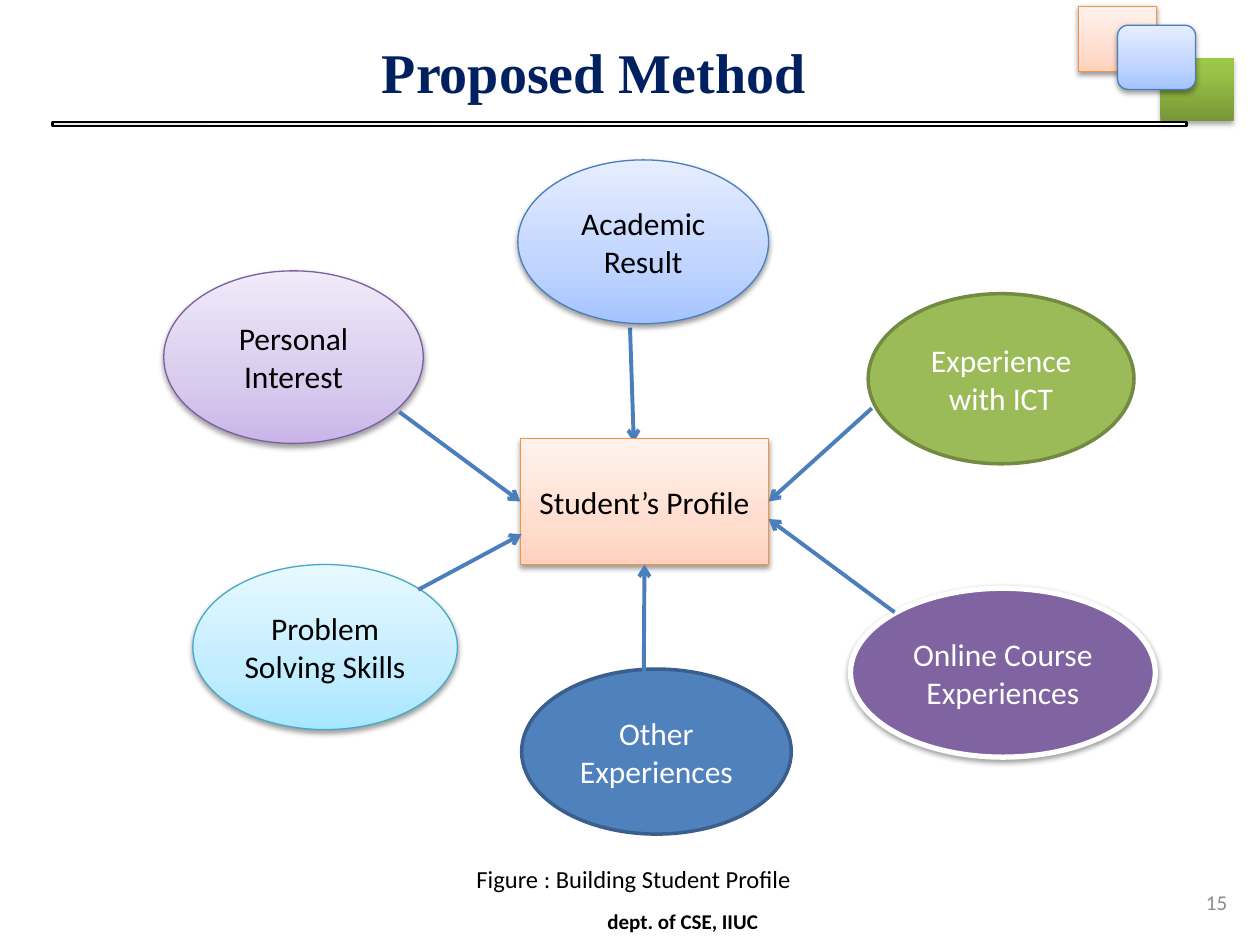
"""Build the Proposed Method slide with its student profile diagram."""
import lxml.etree
import pptx
import pptx.dml.color
import pptx.enum.shapes
import pptx.enum.text
import pptx.oxml.ns
import pptx.util

Pt = pptx.util.Pt
SHAPE = pptx.enum.shapes.MSO_SHAPE
ALIGN = pptx.enum.text.PP_ALIGN
ANCHOR = pptx.enum.text.MSO_ANCHOR

BLUE = [(0, "A4C4FF"), (35, "BFD4FF"), (100, "E6EEFF")]
ORANGE = [(0, "FFD2BD"), (35, "FFDED0"), (100, "FFF2ED")]
VIOLET = [(0, "C9B5E8"), (35, "D8CBEE"), (100, "F0EAF9")]
AQUA = [(0, "A7E6FF"), (35, "C1EDFF"), (100, "E7F8FF")]
GREEN = [(0, "779737"), (80, "9BC348"), (100, "9DC746")]
RULE = [(0, "EEECE1"), (100, "FFFFFF")]
SOFT = (3.1, 1.6, 38)
CORNER_SHADOW = (3.1, 1.8, 35)

TOPICS = [
    ("Personal Interest", (93.6, 154.8, 148.3, 98.6), VIOLET, "7D60A0", 0.75, SOFT, "000000"),
    ("Academic Result", (295.9, 91.4, 143.3, 93.6), BLUE, "4B7EBC", 0.75, SOFT, "000000"),
    ("Experience with ICT", (496.1, 167.8, 151.9, 97.2), "9BBB59", "738A42", 2, None, "FFFFFF"),
    ("Problem Solving Skills", (110.2, 322.6, 151.2, 94.3), AQUA, "46AAC5", 0.75, SOFT, "000000"),
    ("Other Experiences", (298.1, 382.3, 154.1, 94.3), "4F81BD", "3A5F8C", 2, None, "FFFFFF"),
    ("Online Course Experiences", (486, 336.2, 174.2, 96.5), "8064A2", "FFFFFF", 3, SOFT, "FFFFFF"),
]

ARROWS = [
    ((367.9, 383.8), (368.3, 322.6), 2),
    ((511.2, 349.9), (439.2, 296.6), None),
    ((228.2, 235.4), (297.4, 286.6), 1),
    ((498.2, 233.3), (439.2, 286.6), 3),
    ((239, 337), (298.1, 305.3), None),
]


def rgb(code):
    """Return the colour for a hex string."""
    return pptx.dml.color.RGBColor.from_string(code)


def add_node(parent, tag, **attributes):
    """Append a drawing element with the given attributes."""
    node = lxml.etree.SubElement(parent, pptx.oxml.ns.qn(tag))
    for name, value in attributes.items():
        node.set(name, str(value))
    return node


def paint(shape, fill, angle):
    """Fill a shape with one colour or with a list of gradient stops."""
    if isinstance(fill, str):
        shape.fill.solid()
        shape.fill.fore_color.rgb = rgb(fill)
        return
    shape.fill.gradient()
    shape.fill.gradient_angle = angle
    stops = shape.element.spPr.find(".//" + pptx.oxml.ns.qn("a:gsLst"))
    for stop in list(stops):
        stops.remove(stop)
    for position, code in fill:
        stop = add_node(stops, "a:gs", pos=position * 1000)
        add_node(stop, "a:srgbClr", val=code)


def cast_shadow(shape, shadow):
    """Replace the theme shadow by none or by a downward one."""
    shape.shadow.inherit = False
    if shadow:
        blur, distance, opacity = shadow
        effects = shape.element.spPr.find(pptx.oxml.ns.qn("a:effectLst"))
        outer = add_node(effects, "a:outerShdw", blurRad=Pt(blur), dist=Pt(distance),
                         dir=90 * 60000, rotWithShape=0)
        colour = add_node(outer, "a:srgbClr", val="000000")
        add_node(colour, "a:alpha", val=opacity * 1000)


def write(frame, text, size, code, align=ALIGN.CENTER, anchor=ANCHOR.MIDDLE,
          font="Calibri", bold=False):
    """Write one formatted run into a text frame."""
    frame.word_wrap = True
    frame.vertical_anchor = anchor
    para = frame.paragraphs[0]
    para.alignment = align
    span = para.add_run()
    span.text = text
    span.font.name = font
    span.font.size = Pt(size)
    span.font.bold = bold
    span.font.color.rgb = rgb(code)


def add_figure(page, kind, box, fill, line=None, width=0.75, shadow=None, angle=90):
    """Add a preset shape with its fill, outline and shadow."""
    shape = page.shapes.add_shape(kind, *map(Pt, box))
    paint(shape, fill, angle)
    if line:
        shape.line.color.rgb = rgb(line)
        shape.line.width = Pt(width)
    else:
        shape.line.fill.background()
    cast_shadow(shape, shadow)
    return shape


def add_arrow(page, start, end):
    """Add a straight arrow between two points."""
    arrow = page.shapes.add_connector(
        pptx.enum.shapes.MSO_CONNECTOR.STRAIGHT, *map(Pt, start + end))
    arrow.line.color.rgb = rgb("4B7EBC")
    arrow.line.width = Pt(2.25)
    add_node(arrow.get_or_add_ln(), "a:tailEnd", type="arrow")
    add_node(arrow.element.spPr, "a:effectLst")
    return arrow


def add_label(page, box, *content, **style):
    """Add a text box holding one line."""
    label = page.shapes.add_textbox(*map(Pt, box))
    write(label.text_frame, *content, **style)


def set_title(page, box, text):
    """Place and format the slide title."""
    title = page.shapes.title
    title.left, title.top, title.width, title.height = map(Pt, box)
    title.text_frame.auto_size = pptx.enum.text.MSO_AUTO_SIZE.NONE
    write(title.text_frame, text, 32, "002060", align=ALIGN.LEFT, anchor=ANCHOR.TOP,
          font="Times New Roman", bold=True)


def main():
    """Build the slide and save it."""
    deck = pptx.Presentation()
    deck.slide_width, deck.slide_height = Pt(720), Pt(540)
    page = deck.slides.add_slide(deck.slide_layouts[5])

    set_title(page, (211, 18, 275, 46), "Proposed Method")
    add_figure(page, SHAPE.RECTANGLE, (663.1, 33.1, 41.8, 36), GREEN, shadow=CORNER_SHADOW)
    add_label(page, (282.2, 511.9, 216, 28.8), "dept. of CSE, IIUC", 12, "000000", bold=True)
    add_label(page, (660.2, 498.2, 48.2, 34.6), "15", 12, "8C8C8C", align=ALIGN.RIGHT)
    add_label(page, (260.6, 490.3, 203, 24.5), "Figure : Building Student Profile", 14,
              "000000", anchor=ANCHOR.TOP)
    add_figure(page, SHAPE.RECTANGLE, (30.2, 69.8, 648, 2.2), RULE, "000000", 1.5, angle=0)
    add_figure(page, SHAPE.RECTANGLE, (616.3, 3.6, 44.6, 37.4), ORANGE, "F69240", shadow=SOFT)
    add_figure(page, SHAPE.ROUNDED_RECTANGLE, (638.6, 14.4, 44.6, 36.7), BLUE, "4B7EBC",
               shadow=SOFT)

    add_arrow(page, (360, 187.2), (362.2, 252.7))
    profile = add_figure(page, SHAPE.RECTANGLE, (297.4, 250.6, 141.8, 72), ORANGE, "F69240",
                         shadow=SOFT)
    write(profile.text_frame, "Student’s Profile", 18, "000000")
    for text, box, fill, line, width, shadow, code in TOPICS:
        topic = add_figure(page, SHAPE.OVAL, box, fill, line, width, shadow)
        write(topic.text_frame, text, 18, code)
    for start, end, side in ARROWS:
        arrow = add_arrow(page, start, end)
        if side is not None:
            arrow.end_connect(profile, side)

    deck.save("out.pptx")


if __name__ == "__main__":
    main()
